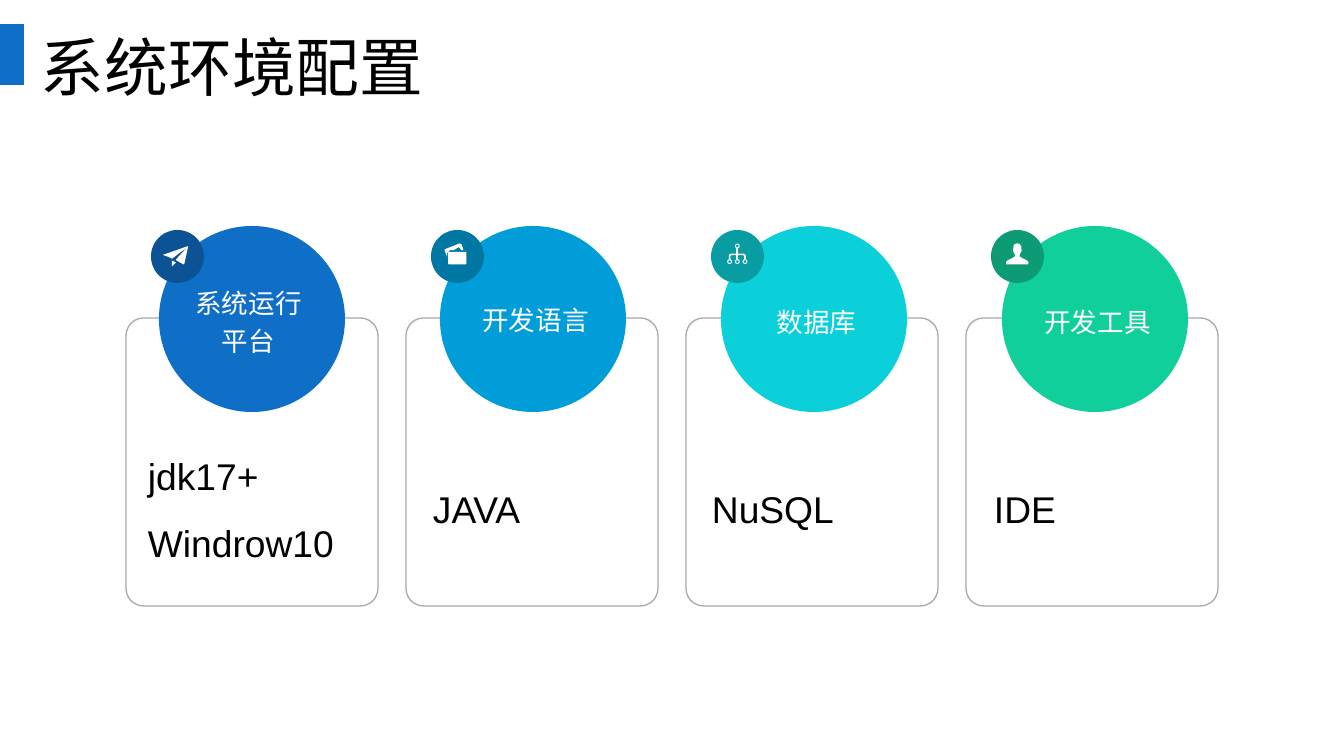
from pptx import Presentation
from pptx.dml.color import RGBColor
from pptx.enum.shapes import MSO_CONNECTOR, MSO_SHAPE
from pptx.enum.text import MSO_ANCHOR, PP_ALIGN
from pptx.oxml.ns import qn
from pptx.util import Pt
from lxml import etree

PX = 914400 / 95.6  # EMU in one px

COLOURS = {
    "blue": "0F6FC6", "dark blue": "0B5394",
    "sky": "009DD9", "dark sky": "0076A3",
    "cyan": "0BD0D9", "dark cyan": "089CA3",
    "green": "10CF9B", "dark green": "0C9B74",
    "border": "A6AAA9", "white": "FFFFFF", "black": "000000",
}

# Icon points, in tenths of a px from the badge corner
PLANE_TAIL = [(210, 306), (249, 325), (210, 363)]
PLANE_WINGS = [(373, 160), (118, 249), (172, 268), (210, 287), (363, 172),
               (249, 296), (258, 306), (325, 344), (335, 335)]
FOLDER_BACK = [(325, 201), (306, 143), (287, 134), (143, 191), (134, 201),
               (163, 268), (163, 229), (191, 201), (229, 201), (277, 172),
               (306, 201)]
FOLDER_FRONT = [(177, 220), (349, 220), (354, 225), (354, 339), (349, 344),
                (177, 344), (172, 339), (172, 225)]
# Half of the person, as distance from the middle and height
PERSON_MIDDLE = 263
PERSON_HALF = [(0, 134), (25, 140), (40, 165), (40, 190), (45, 200), (38, 220),
               (24, 245), (24, 265), (60, 287), (90, 300), (110, 316), (112, 344)]
PERSON = ([(PERSON_MIDDLE + x, y) for x, y in PERSON_HALF]
          + [(PERSON_MIDDLE - x, y) for x, y in reversed(PERSON_HALF)])
NETWORK_NODES = [(263, 160), (186, 316), (263, 316), (340, 316)]
NETWORK_BRANCH = [(186, 296), (186, 260), (192, 248), (205, 244), (321, 244),
                  (334, 248), (340, 260), (340, 296)]
NODE_RADIUS = 19


class Page:
    def __init__(self, deck):
        self.shapes = deck.slides.add_slide(deck.slide_layouts[6]).shapes

    def style(self, shape, fill=None, line=None, weight=1):
        shape.shadow.inherit = False
        if fill:
            shape.fill.solid()
            shape.fill.fore_color.rgb = RGBColor.from_string(COLOURS[fill])
        else:
            shape.fill.background()
        if line:
            shape.line.color.rgb = RGBColor.from_string(COLOURS[line])
            shape.line.width = Pt(weight)
        else:
            shape.line.fill.background()
        return shape

    def shape(self, kind, left, top, width, height, **look):
        place = [round(n * PX) for n in (left, top, width, height)]
        return self.style(self.shapes.add_shape(kind, *place), **look)

    def outline(self, left, top, points, closed=True, **look):
        builder = self.shapes.build_freeform(*points[0], scale=PX / 10)
        builder.add_line_segments(points[1:], close=closed)
        shape = builder.convert_to_shape(round(left * PX), round(top * PX))
        return self.style(shape, **look)

    def line(self, x1, y1, x2, y2, colour, weight):
        ends = [round(n * PX) for n in (x1, y1, x2, y2)]
        line = self.shapes.add_connector(MSO_CONNECTOR.STRAIGHT, *ends)
        line.line.color.rgb = RGBColor.from_string(COLOURS[colour])
        line.line.width = Pt(weight)
        etree.SubElement(line._element.spPr, qn("a:effectLst"))

    def text(self, left, top, width, height, lines, size, colour="black",
             font="Arial", align=PP_ALIGN.LEFT, anchor=MSO_ANCHOR.MIDDLE,
             spacing=1.2, before=0):
        place = [round(n * PX) for n in (left, top, width, height)]
        frame = self.shapes.add_textbox(*place).text_frame
        frame.margin_left = frame.margin_right = 0
        frame.margin_top = frame.margin_bottom = 0
        frame.word_wrap = True
        frame.vertical_anchor = anchor
        frame.text = "\n".join(lines)
        for para in frame.paragraphs:
            para.alignment = align
            para.line_spacing = spacing
            para.space_before = Pt(before)
            para.font.name = font
            para.font.size = Pt(size)
            para.font.color.rgb = RGBColor.from_string(COLOURS[colour])

    def network(self, left, top):
        for x, y in NETWORK_NODES:
            self.shape(MSO_SHAPE.OVAL, left + (x - NODE_RADIUS) / 10,
                       top + (y - NODE_RADIUS) / 10, NODE_RADIUS / 5,
                       NODE_RADIUS / 5, line="white", weight=0.75)
        self.outline(left, top, NETWORK_BRANCH, closed=False,
                     line="white", weight=1.25)
        middle = left + NETWORK_NODES[0][0] / 10
        self.line(middle, top + 18, middle, top + 30, "white", 1.25)


# Colour, label, label left and top, body lines, body left, icon outlines
CARDS = [
    ("blue", "系统运行平台", 186, 297, ["jdk17+", "Windrow10"], 148,
     [PLANE_TAIL, PLANE_WINGS]),
    ("sky", "开发语言", 473, 295, ["JAVA"], 433, [FOLDER_BACK, FOLDER_FRONT]),
    ("cyan", "数据库", 754, 297, ["NuSQL"], 712, None),
    ("green", "开发工具", 1035, 297, ["IDE"], 994, [PERSON]),
]


def main():
    deck = Presentation()
    deck.slide_width = round(1344 * PX)
    deck.slide_height = round(756 * PX)
    page = Page(deck)

    # Title with its marker
    page.shape(MSO_SHAPE.RECTANGLE, 0, 24, 24, 61, fill="blue")
    page.text(41, 28, 420, 77, ["系统环境配置"], 48, font="Calibri",
              anchor=MSO_ANCHOR.TOP, spacing=1)

    # Four cards, each with a circle, a badge and an icon
    for i, (colour, label, label_left, label_top, body, body_left,
            icon) in enumerate(CARDS):
        card = page.shape(MSO_SHAPE.ROUNDED_RECTANGLE, 126 + 280 * i, 318,
                          252, 288, line="border")
        card.adjustments[0] = 0.07
        page.shape(MSO_SHAPE.OVAL, 159 + 281 * i, 226, 186, 186, fill=colour)

        badge_left, badge_top = 151 + 280 * i, 230
        page.shape(MSO_SHAPE.OVAL, badge_left, badge_top, 53, 53,
                   fill="dark " + colour)
        if icon:
            for points in icon:
                page.outline(badge_left, badge_top, points, fill="white")
        else:
            page.network(badge_left, badge_top)

        page.text(label_left, label_top, 125, 43, [label], 20, "white",
                  align=PP_ALIGN.CENTER)
        page.text(body_left, 442, 207, 125, body, 28, before=10)

    deck.save("out.pptx")


if __name__ == "__main__":
    main()
